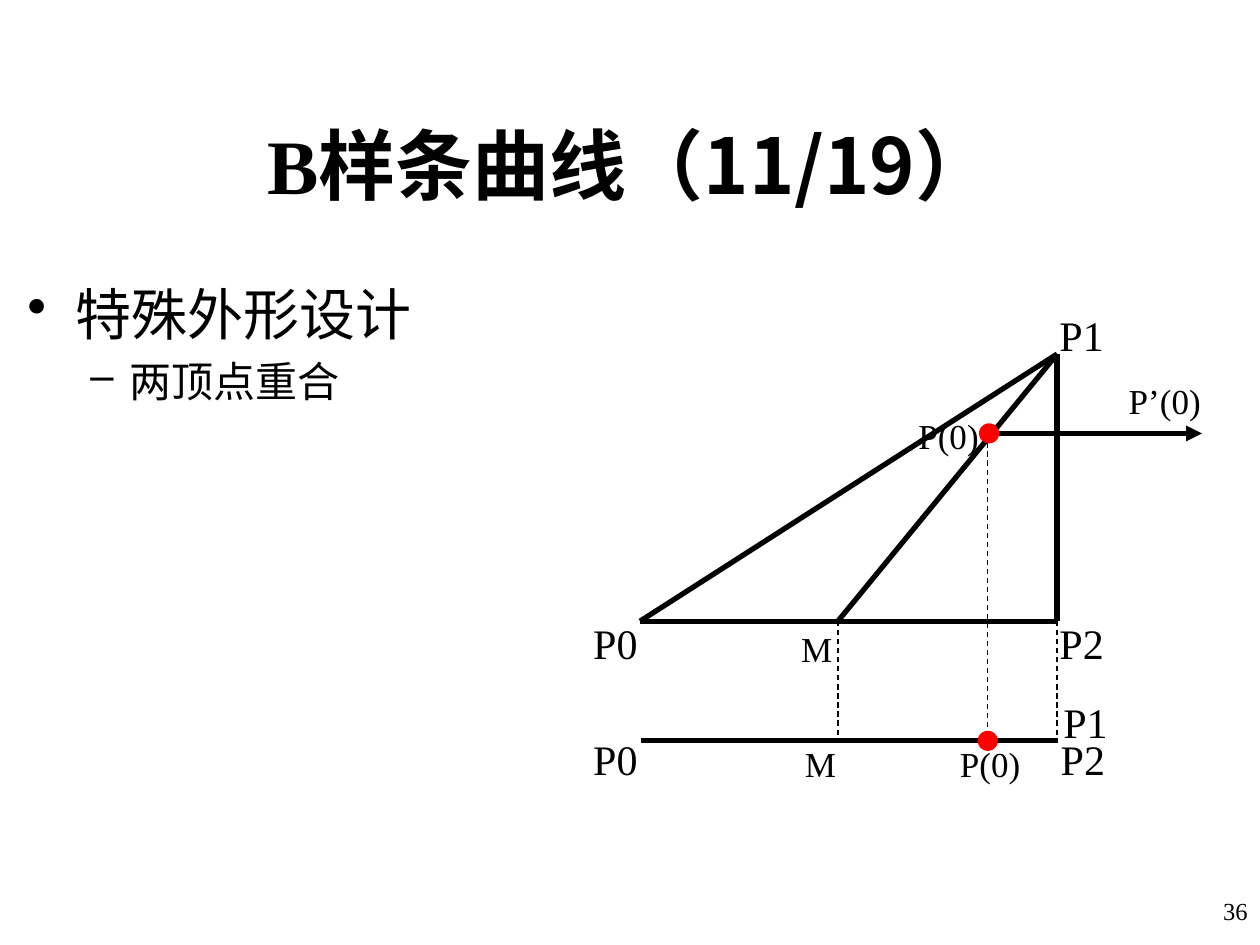
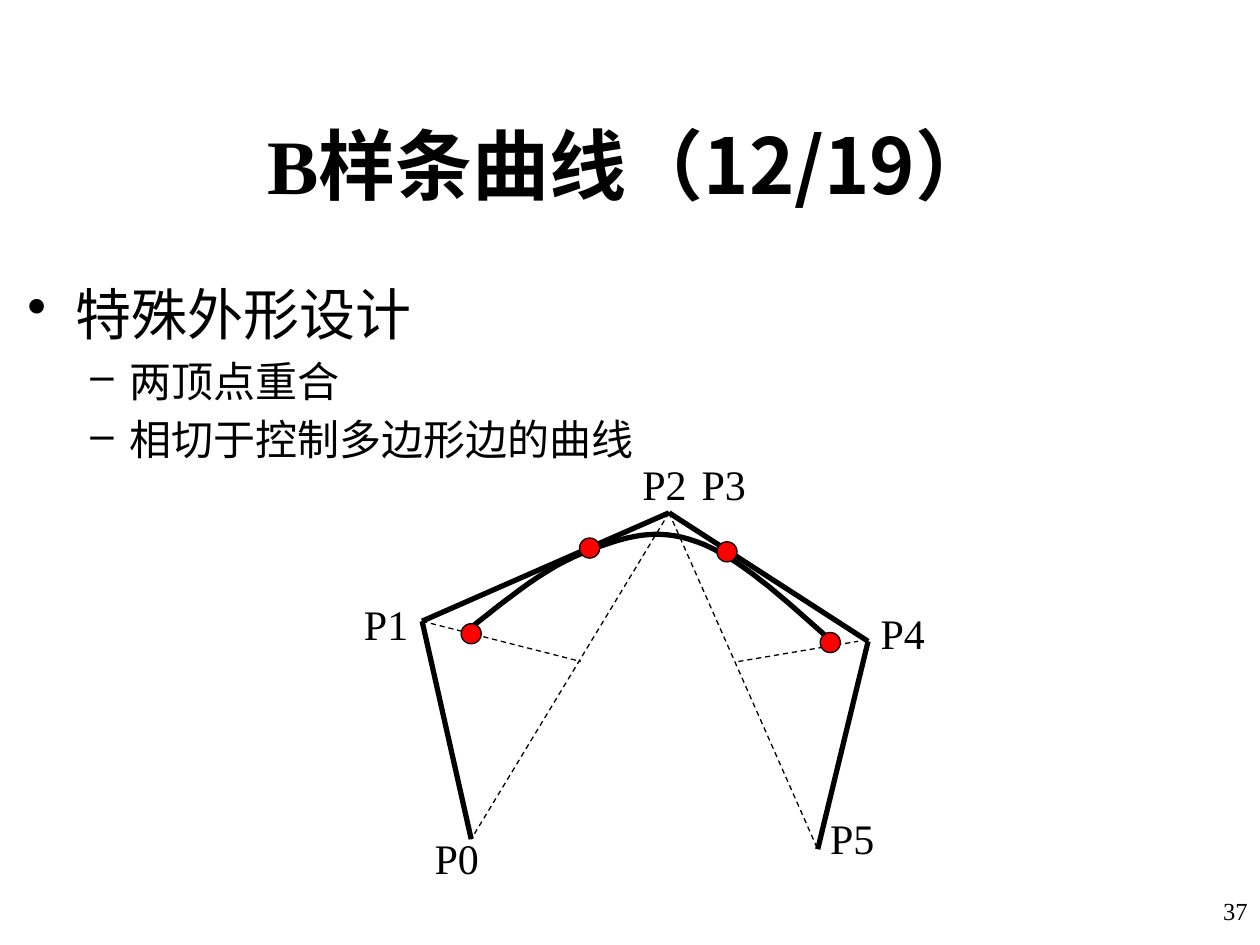
from lxml import etree
from pptx import Presentation
from pptx.dml.color import RGBColor
from pptx.enum import dml, shapes, text
from pptx.oxml import ns
from pptx.util import Inches, Pt

COLORS = {"ink": "000000", "paper": "FFFFFF", "dot": "FF0000"}
LATIN, CHINESE = "Times New Roman", "Noto Sans CJK SC"
DOT_SIZE = 0.16
UNITS_PER_INCH = 1000  # freeform points are whole numbers in this unit
# Per level: bullet, text size, left margin, first-line indent
LEVELS = [("•", 32, 0.38, -0.38), ("–", 24, 0.81, -0.31)]


def rgb(name):
    return RGBColor.from_string(COLORS[name])


def add_run(paragraph, words, size, latin=LATIN, bold=False):
    run = paragraph.add_run()
    run.text = words
    run.font.size, run.font.name, run.font.bold = Pt(size), latin, bold
    run.font.color.rgb = rgb("ink")
    east_asian = etree.SubElement(run.font._element, ns.qn("a:ea"))
    east_asian.set("typeface", CHINESE)


def add_text_box(slide, left, top, width, height):
    box = slide.shapes.add_textbox(Inches(left), Inches(top), Inches(width), Inches(height))
    box.text_frame.word_wrap = True
    return box.text_frame


def add_title(slide, number):
    frame = add_text_box(slide, 0.75, 0.67, 8.5, 1.25)
    frame.vertical_anchor = text.MSO_ANCHOR.MIDDLE
    paragraph = frame.paragraphs[0]
    paragraph.alignment = text.PP_ALIGN.CENTER
    add_run(paragraph, "B", 44, bold=True)
    add_run(paragraph, f"样条曲线（{number}/19）", 44, latin=CHINESE, bold=True)


def add_bullets(slide, items):
    frame = add_text_box(slide, 0.12, 2.17, 8.5, 1.7)
    for index, (level, words) in enumerate(items):
        bullet, size, margin, indent = LEVELS[level]
        paragraph = frame.add_paragraph() if index else frame.paragraphs[0]
        properties = paragraph._p.get_or_add_pPr()
        properties.set("marL", str(Inches(margin)))
        properties.set("indent", str(Inches(indent)))
        etree.SubElement(properties, ns.qn("a:buChar")).set("char", bullet)
        paragraph.level = level
        if index:
            paragraph.space_before = Pt(0.2 * size)
        add_run(paragraph, words, size)


def add_page_number(slide, number):
    shape = slide.shapes.add_shape(shapes.MSO_SHAPE.RECTANGLE, Inches(9.49), Inches(7.06),
                                   Inches(0.51), Inches(0.28))
    shape.shadow.inherit = False
    shape.fill.solid()
    shape.fill.fore_color.rgb = rgb("paper")
    shape.line.color.rgb = rgb("paper")
    shape.line.width = Pt(0.75)
    shape.text_frame.vertical_anchor = text.MSO_ANCHOR.TOP
    paragraph = shape.text_frame.paragraphs[0]
    paragraph.alignment = text.PP_ALIGN.RIGHT
    add_run(paragraph, str(number), 14)


def add_label(slide, words, left, top, size=24):
    frame = add_text_box(slide, left, top, 0.95, 0.5 if size == 24 else 0.43)
    add_run(frame.paragraphs[0], words, size)


def add_line(slide, start, end, dashed=False, arrow=False):
    line = slide.shapes.add_connector(shapes.MSO_CONNECTOR.STRAIGHT,
                                      *[Inches(value) for value in (*start, *end)])
    line.line.color.rgb = rgb("ink")
    line.line.width = Pt(0.75 if dashed else 3)
    if dashed:
        line.line.dash_style = dml.MSO_LINE.DASH
    if arrow:
        outline = line.line._get_or_add_ln()
        etree.SubElement(outline, ns.qn("a:tailEnd")).set("type", "triangle")
    etree.SubElement(line._element.spPr, ns.qn("a:effectLst"))


def add_dot(slide, center_x, center_y, outlined=False):
    dot = slide.shapes.add_shape(shapes.MSO_SHAPE.OVAL, Inches(center_x - DOT_SIZE / 2),
                                 Inches(center_y - DOT_SIZE / 2),
                                 Inches(DOT_SIZE), Inches(DOT_SIZE))
    dot.shadow.inherit = False
    dot.fill.solid()
    dot.fill.fore_color.rgb = rgb("dot")
    if outlined:
        dot.line.color.rgb = rgb("ink")
        dot.line.width = Pt(0.75)
    else:
        dot.line.fill.background()


def bezier_point(controls, t):
    weights = ((1 - t) ** 3, 3 * t * (1 - t) ** 2, 3 * t ** 2 * (1 - t), t ** 3)
    return tuple(UNITS_PER_INCH * sum(weight * point[axis]
                                      for weight, point in zip(weights, controls))
                 for axis in (0, 1))


def add_curve(slide, controls, steps=16):
    """Draw joined cubic segments; neighbours share an end point."""
    points = [bezier_point(controls[first:first + 4], step / steps)
              for first in range(0, len(controls) - 1, 3) for step in range(1, steps + 1)]
    builder = slide.shapes.build_freeform(*bezier_point(controls[:4], 0),
                                          scale=Inches(1) / UNITS_PER_INCH)
    builder.add_line_segments(points, close=False)
    curve = builder.convert_to_shape()
    curve.shadow.inherit = False
    curve.fill.background()
    curve.line.color.rgb = rgb("ink")
    curve.line.width = Pt(3)


def add_base_slide(presentation, part, page, items):
    slide = presentation.slides.add_slide(presentation.slide_layouts[6])
    add_page_number(slide, page)
    add_title(slide, part)
    add_bullets(slide, items)
    return slide


def draw_coincident_vertices(slide):
    p0, p1, p2, middle = (5.08, 4.93), (8.39, 2.81), (8.39, 4.93), (6.65, 4.93)
    start_x, start_y, base_y = 7.84, 3.44, 5.88

    # Triangle with its median, the tangent and the flattened polygon
    for start, end in ((p0, p2), (p0, p1), (p2, p1), (middle, p1),
                       ((5.09, base_y), (8.4, base_y))):
        add_line(slide, start, end)
    add_line(slide, (7.88, start_y), (9.54, start_y), arrow=True)

    # Projections onto the flattened polygon
    for x, y in ((start_x, start_y), middle, p2):
        add_line(slide, (x, y), (x, base_y), dashed=True)

    for words, left, top in (("P0", 4.61, 4.85), ("P2", 8.31, 4.85), ("P1", 8.31, 2.41),
                             ("P0", 4.61, 5.77), ("P2", 8.32, 5.77), ("P1", 8.34, 5.48)):
        add_label(slide, words, left, top)
    for words, left, top in (("M", 6.26, 4.93), ("P’(0)", 8.86, 2.96), ("M", 6.29, 5.84),
                             ("P(0)", 7.19, 3.24), ("P(0)", 7.52, 5.84)):
        add_label(slide, words, left, top, size=20)
    add_dot(slide, 7.85, start_y)
    add_dot(slide, start_x, base_y)


def draw_tangent_curve(slide):
    p0, p1, p2, p4, p5 = polygon = [(3.74, 6.66), (3.35, 4.93), (5.31, 4.07),
                                    (6.89, 5.09), (6.49, 6.74)]

    # Control polygon and its construction lines
    for start, end in zip(polygon, polygon[1:]):
        add_line(slide, start, end)
    for start, end in ((p2, p5), (p2, p0), (p1, (4.61, 5.25)), ((5.86, 5.25), (6.81, 5.09))):
        add_line(slide, start, end, dashed=True)

    for words, left, top in (("P2", 5, 3.59), ("P3", 5.47, 3.59), ("P5", 6.49, 6.4),
                             ("P1", 2.79, 4.7), ("P0", 3.35, 6.56), ("P4", 6.89, 4.77)):
        add_label(slide, words, left, top)

    # Curve and the joints of its segments
    add_curve(slide, [(3.74, 4.98), (4.04, 4.74), (4.35, 4.49), (4.65, 4.38), (4.95, 4.26),
                      (5.21, 4.18), (5.53, 4.3), (5.85, 4.41), (6.22, 4.75), (6.59, 5.08)])
    for x, y in ((3.74, 5.03), (4.68, 4.35), (5.77, 4.38), (6.59, 5.1)):
        add_dot(slide, x, y, outlined=True)


def main():
    presentation = Presentation()
    presentation.slide_width, presentation.slide_height = Inches(10), Inches(7.5)
    items = [(0, "特殊外形设计"), (1, "两顶点重合")]
    draw_coincident_vertices(add_base_slide(presentation, 11, 36, items))
    items.append((1, "相切于控制多边形边的曲线"))
    draw_tangent_curve(add_base_slide(presentation, 12, 37, items))
    presentation.save("out.pptx")


if __name__ == "__main__":
    main()
